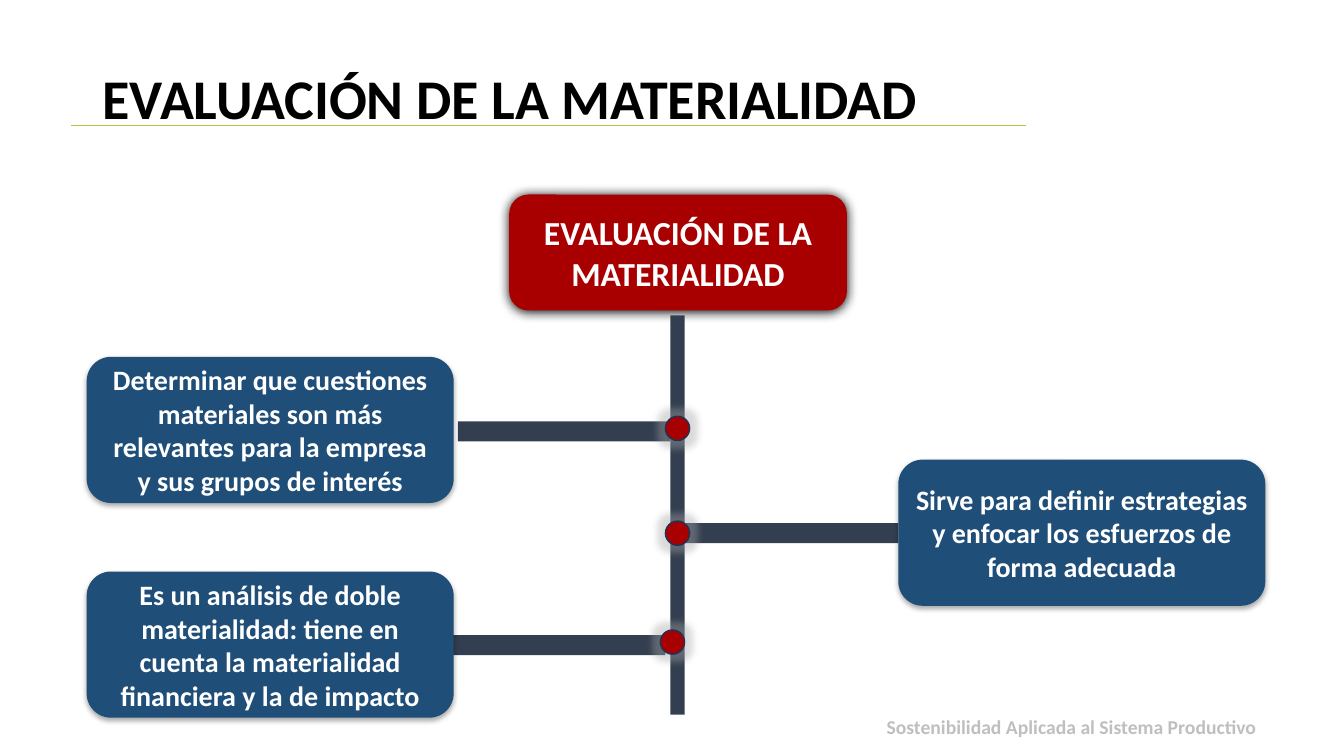
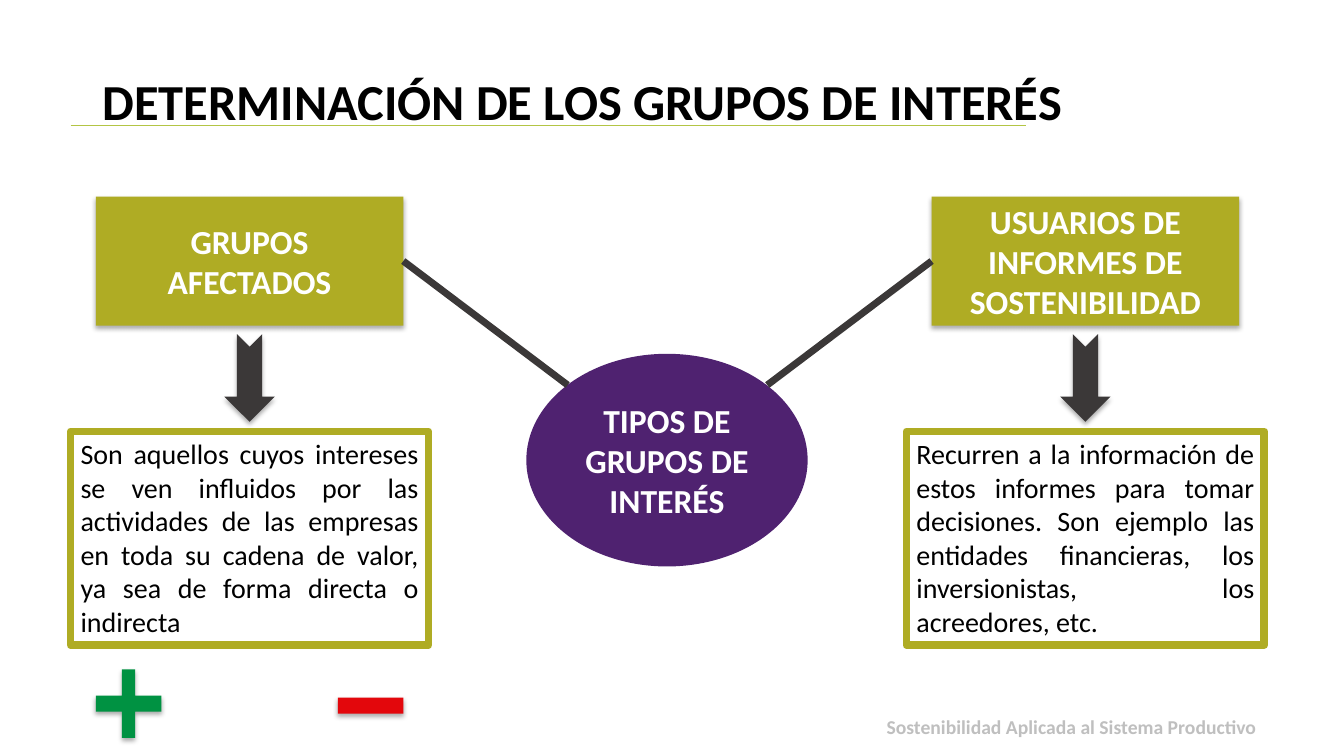
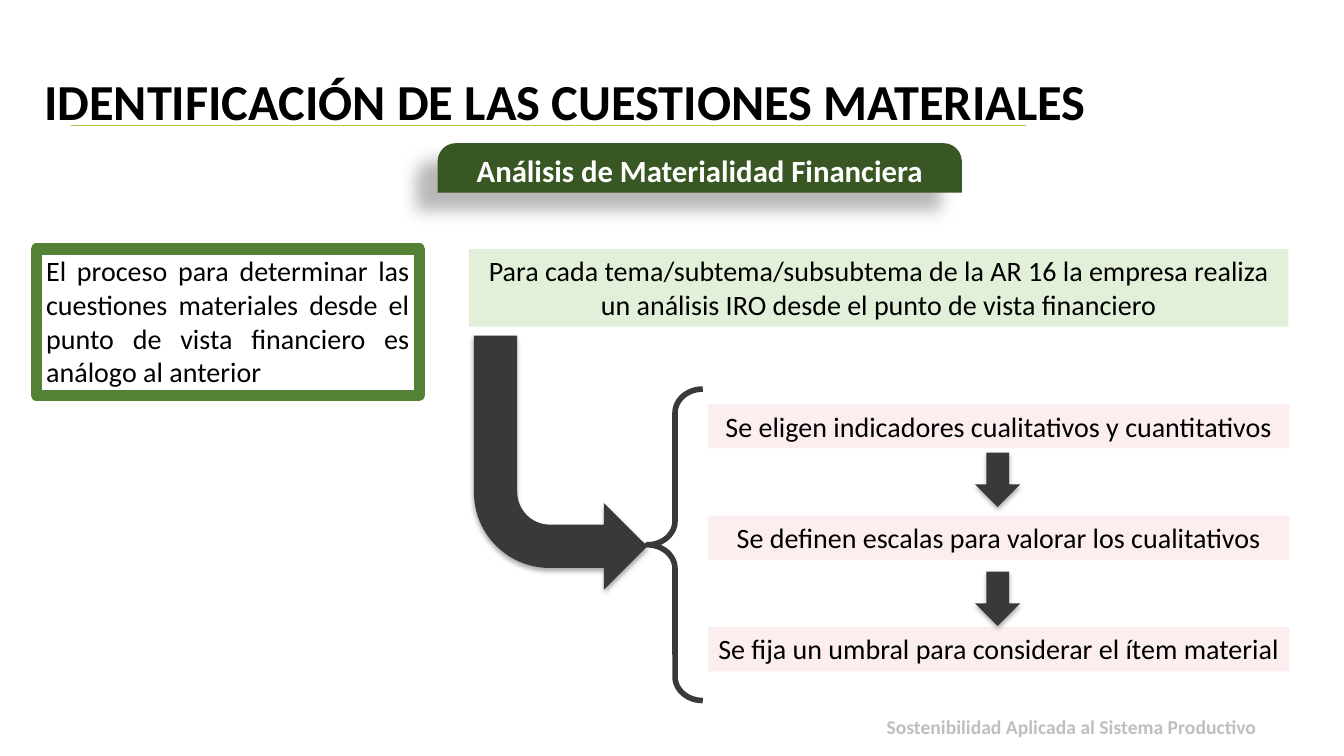
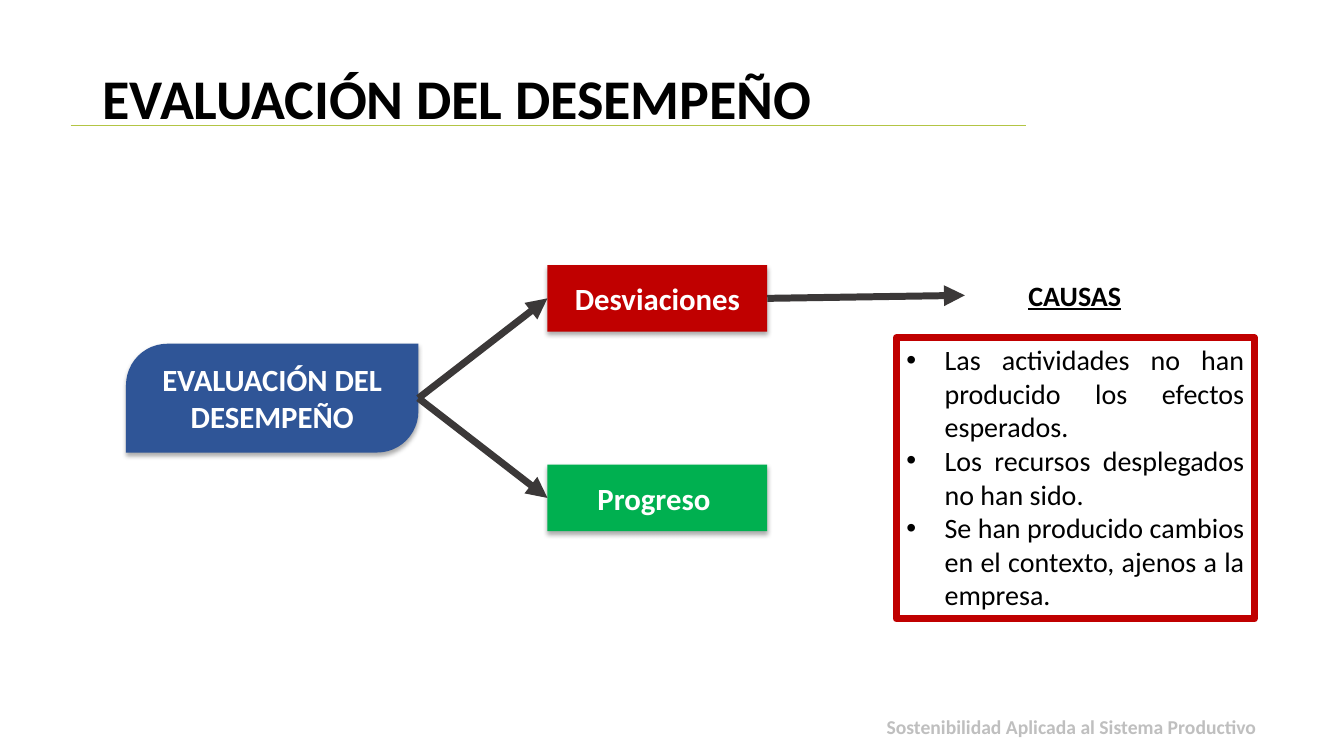
from lxml import etree
from pptx import Presentation
from pptx import util as u
from pptx.dml.color import RGBColor
from pptx.enum import shapes, text
from pptx.oxml.ns import qn

FONT = "Calibri"
BLACK, WHITE, DARK = "000000", "FFFFFF", "3B3838"
RED, BLUE, SLATE = "A80000", "1F4E79", "333F50"
OLIVE, ROSE, CRIMSON = "AFAC24", "FCEEEE", "C00000"
FOOTER = "Sostenibilidad Aplicada al Sistema Productivo"
SOFT = (BLACK, 32, 3.5, 2.2, 90)

KIND = shapes.MSO_SHAPE
LEFT, MID = text.PP_ALIGN.LEFT, text.PP_ALIGN.CENTER
RIGHT, FULL = text.PP_ALIGN.RIGHT, text.PP_ALIGN.JUSTIFY


def px(n):
    """Turn px (100 to the inch) into EMU."""
    return u.Emu(int(n * 9144))


def rgb(code):
    return RGBColor.from_string(code)


def node(parent, tag, **attrs):
    item = etree.SubElement(parent, qn(tag))
    for key, value in attrs.items():
        item.set(key, str(value))
    return item


def tint(parent, code, alpha):
    color = node(parent, "a:srgbClr", val=code)
    node(color, "a:alpha", val=alpha * 1000)


def shade(shape, code, alpha, blur, dist, angle):
    """Add an outer shadow: alpha in percent, blur and distance in points."""
    effects = node(shape._element.spPr, "a:effectLst")
    outer = node(effects, "a:outerShdw", blurRad=int(u.Pt(blur)),
                 dist=int(u.Pt(dist)), dir=angle * 60000, rotWithShape=0)
    tint(outer, code, alpha)


def glow(shape, code, alpha, size):
    effects = node(shape._element.spPr, "a:effectLst")
    tint(node(effects, "a:glow", rad=int(u.Pt(size))), code, alpha)


def block(slide, kind, at, fill=None, line=None, shadow=None, adj=(), turn=0):
    """Draw a preset shape; line is (colour, points)."""
    shape = slide.shapes.add_shape(kind, *map(px, at))
    if fill:
        shape.fill.solid()
        shape.fill.fore_color.rgb = rgb(fill)
    else:
        shape.fill.background()
    if line:
        shape.line.color.rgb = rgb(line[0])
        shape.line.width = u.Pt(line[1])
    else:
        shape.line.fill.background()
    for i, value in enumerate(adj):
        shape.adjustments[i] = value
    shape.rotation = turn
    if shadow:
        shade(shape, *shadow)
    else:
        shape.shadow.inherit = False
    return shape


def dot_mark(para):
    props = para._p.get_or_add_pPr()
    props.set("marL", str(px(38)))
    props.set("indent", str(-px(38)))
    node(props, "a:buFont", typeface="Arial")
    node(props, "a:buChar", char="•")


def write(shape, lines, size, color=WHITE, bold=True, align=MID, tight=False,
          top=False, mark=False, under=False):
    frame = shape.text_frame
    frame.word_wrap = True
    frame.vertical_anchor = text.MSO_ANCHOR.TOP if top else text.MSO_ANCHOR.MIDDLE
    for i, words in enumerate(lines):
        para = frame.add_paragraph() if i else frame.paragraphs[0]
        if mark:
            dot_mark(para)
        para.alignment = align
        if tight:
            para.line_spacing = 0.9
        run = para.add_run()
        run.text = words
        font = run.font
        font.name, font.size, font.bold = FONT, u.Pt(size), bold
        font.color.rgb = rgb(color)
        if under:
            font.underline = True
    return frame


def label(slide, kind, at, words, size, fill, shadow=SOFT, adj=()):
    """Draw a filled shape with bold white centred text."""
    write(block(slide, kind, at, fill, None, shadow, adj), [words], size)


def note(slide, at, lines, fill=None, line=None, align=FULL, mark=False):
    """Draw a rectangle of plain black text that grows with its text."""
    shape = block(slide, KIND.RECTANGLE, at, fill, line)
    frame = write(shape, lines, 20, BLACK, False, align, top=True, mark=mark)
    frame.auto_size = text.MSO_AUTO_SIZE.SHAPE_TO_FIT_TEXT


def link(slide, start, end, color=DARK, width=5, arrow=False):
    wire = slide.shapes.add_connector(shapes.MSO_CONNECTOR.STRAIGHT,
                                      *map(px, (*start, *end)))
    wire.line.color.rgb = rgb(color)
    wire.line.width = u.Pt(width)
    if arrow:
        node(wire.line._get_or_add_ln(), "a:tailEnd", type="triangle")
    node(wire._element.spPr, "a:effectLst")


def page(deck, title, size, left=92):
    """Add a slide with its title, rule and footer."""
    slide = deck.slides.add_slide(deck.slide_layouts[6])
    head = slide.shapes.add_textbox(*map(px, (left, 58, 1098 - left, 145)))
    frame = write(head, [title], size, BLACK, align=LEFT, tight=True)
    # One line of room below lifts the title onto the rule.
    frame.margin_bottom = px(5 + size * 1.52)
    link(slide, (70, 124), (1018, 124), "B3C544", 0.5)
    foot = slide.shapes.add_textbox(*map(px, (736, 707, 520, 49)))
    write(foot, [FOOTER], 14, "BFBFBF", align=RIGHT, tight=True, top=True)
    return slide


def assess(deck):
    slide = page(deck, "EVALUACIÓN DE LA MATERIALIDAD", 40)
    label(slide, KIND.ROUNDED_RECTANGLE, (505, 193, 335, 115),
          "EVALUACIÓN DE LA MATERIALIDAD", 24, RED, (BLACK, 100, 8.5, 1, 90))
    block(slide, KIND.RECTANGLE, (665, 313, 14, 396), SLATE)
    # Card corner, branch corner, knot corner, words.
    rows = [
        ((86, 354), (454, 418), (660, 413),
         "Determinar que cuestiones materiales son más relevantes "
         "para la empresa y sus grupos de interés"),
        ((891, 456), (680, 519), (660, 517),
         "Sirve para definir estrategias y enfocar los esfuerzos "
         "de forma adecuada"),
        ((86, 567), (449, 630), (655, 625),
         "Es un análisis de doble materialidad: tiene en cuenta "
         "la materialidad financiera y la de impacto"),
    ]
    for card, branch, knot, words in rows:
        block(slide, KIND.RECTANGLE, (*branch, 211, 20), SLATE)
        dot = block(slide, KIND.OVAL, (*knot, 24, 24), RED, ("1E3256", 1))
        dot._element.spPr.remove(dot._element.spPr.find(qn("a:effectLst")))
        glow(dot, "A5A5A5", 40, 10)
        label(slide, KIND.ROUNDED_RECTANGLE, (*card, 364, 145), words, 20, BLUE)


def groups(deck):
    slide = page(deck, "DETERMINACIÓN DE LOS GRUPOS DE INTERÉS", 36)
    label(slide, KIND.OVAL, (522, 351, 279, 211),
          "TIPOS DE GRUPOS DE INTERÉS", 24, "4F2270", None)
    sides = [
        (95, 400, 563, "GRUPOS AFECTADOS",
         "Son aquellos cuyos intereses se ven influidos por las actividades "
         "de las empresas en toda su cadena de valor, ya sea de forma "
         "directa o indirecta"),
        (924, 924, 761, "USUARIOS DE INFORMES DE SOSTENIBILIDAD",
         "Recurren a la información de estos informes para tomar decisiones. "
         "Son ejemplo las entidades financieras, los inversionistas, "
         "los acreedores, etc."),
    ]
    for left, edge, rim, name, words in sides:
        label(slide, KIND.RECTANGLE, (left, 195, 305, 128), name, 24, OLIVE)
        link(slide, (rim, 382), (edge, 259))
        block(slide, KIND.NOTCHED_RIGHT_ARROW, (left + 109, 350, 87, 50),
              DARK, None, SOFT, turn=90)
        note(slide, (left - 25, 428, 355, 212), [words], line=(OLIVE, 5.5))
    block(slide, KIND.CROSS, (95, 664, 65, 68), "009242", None, SOFT, [0.4])
    block(slide, KIND.RECTANGLE, (335, 692, 65, 16), "E3070C", None, SOFT)


def issues(deck):
    slide = page(deck, "IDENTIFICACIÓN DE LAS CUESTIONES MATERIALES", 36, 34)
    label(slide, KIND.ROUND_2_SAME_RECTANGLE, (434, 142, 520, 49),
          "Análisis de Materialidad Financiera", 22, "385723",
          (BLACK, 28, 11.8, 19.7, 141), [0.37, 0])
    note(slide, (36, 247, 380, 145),
         ["El proceso para determinar las cuestiones materiales desde "
          "el punto de vista financiero es análogo al anterior"],
         line=("548235", 8))
    note(slide, (465, 247, 813, 77),
         ["Para cada tema/subtema/subsubtema de la AR 16 la empresa realiza "
          "un análisis IRO desde el punto de vista financiero"],
         "E2F0D9", align=MID)
    bend = block(slide, KIND.BENT_ARROW, (470, 333, 172, 252), DARK, None, SOFT)
    bend._element.spPr.get_or_add_xfrm().set("flipV", "1")
    block(slide, KIND.LEFT_BRACE, (642, 386, 55, 309), None, (DARK, 4),
          adj=[0.43, 0.5])
    steps = ["Se eligen indicadores cualitativos y cuantitativos",
             "Se definen escalas para valorar los cualitativos",
             "Se fija un umbral para considerar el ítem material"]
    for i, words in enumerate(steps):
        note(slide, (702, 401 + i * 110.5, 577, 44), [words], ROSE, align=MID)
    for top in (449, 567):
        block(slide, KIND.DOWN_ARROW, (967, top, 45, 54), DARK, None, SOFT)


def results(deck):
    slide = page(deck, "EVALUACIÓN DEL DESEMPEÑO", 40)
    label(slide, KIND.ROUND_2_DIAG_RECTANGLE, (125, 341, 290, 108),
          "EVALUACIÓN DEL DESEMPEÑO", 22, "2F5597", adj=[0.38, 0])
    for top, words, fill in ((461, "Progreso ", "00B050"),
                             (263, "Desviaciones", CRIMSON)):
        label(slide, KIND.RECTANGLE, (543, top, 218, 66), words, 22, fill)
        link(slide, (415, 395), (543, top + 33), arrow=True)
    cause = slide.shapes.add_textbox(*map(px, (957, 271, 218, 44)))
    write(cause, ["CAUSAS"], 20, BLACK, top=True, under=True)
    note(slide, (889, 335, 355, 279),
         ["Las actividades no han producido los efectos esperados.",
          "Los recursos desplegados no han sido.",
          "Se han producido cambios en el contexto, ajenos a la empresa."],
         line=(CRIMSON, 5), mark=True)
    link(slide, (761, 296), (957, 293), arrow=True)


def main():
    deck = Presentation()
    deck.slide_width, deck.slide_height = px(1333), px(750)
    for build in (assess, groups, issues, results):
        build(deck)
    deck.save("out.pptx")


if __name__ == "__main__":
    main()
